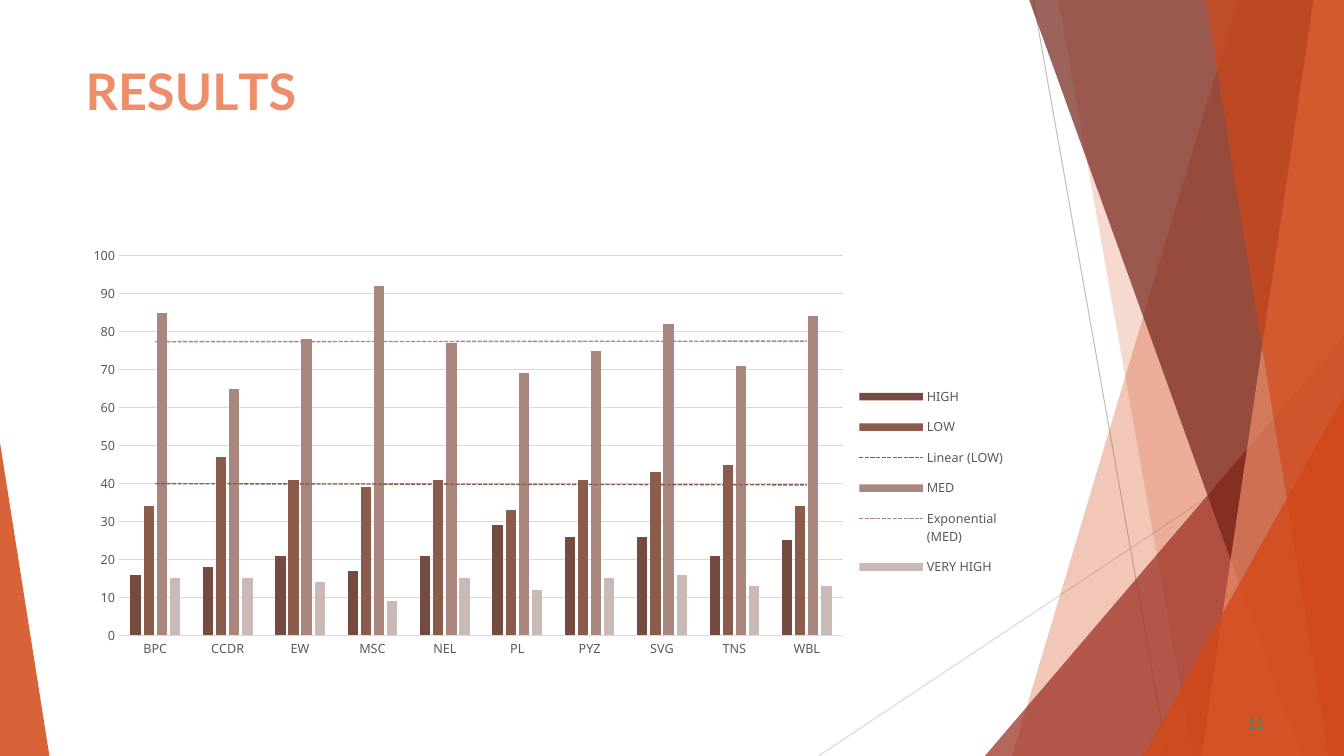
"""Build the RESULTS slide: faceted backdrop, heading and clustered columns with trend lines."""
from dataclasses import dataclass
from typing import NamedTuple, Optional

from lxml import etree
from pptx import Presentation, util as u
from pptx.chart import data as cd
from pptx.dml import color as col
from pptx.enum import chart as ec, shapes, text
from pptx.oxml import ns

WIDTH, HEIGHT = u.Inches(13.33), u.Inches(7.5)


@dataclass(frozen=True)
class Theme:
    """Colours, fonts and type sizes of the slide."""
    orange: str = "D34817"
    salmon: str = "EE8D6A"
    red: str = "9B2D1F"
    maroon: str = "732217"
    green: str = "2D936B"
    hairline: str = "BFBFBF"
    pale_hairline: str = "D8D8D8"
    grid: str = "D9D9D9"
    label: str = "595959"
    black: str = "000000"
    heading_font: str = "Lato"
    chart_font: str = "Noto Sans"
    heading_size: float = 36
    number_size: float = 11
    chart_size: float = 10
    label_size: float = 9


THEME = Theme()


class Box(NamedTuple):
    """Left, top, width and height in percent of the slide or chart."""
    left: float
    top: float
    width: float
    height: float

    def emu(self) -> tuple[int, int, int, int]:
        """Return the box in slide units."""
        return across(self.left), down(self.top), across(self.width), down(self.height)


class Hairline(NamedTuple):
    """A thin line between two points given in percent."""
    x1: float
    y1: float
    x2: float
    y2: float
    color: str


class Facet(NamedTuple):
    """A pane reaching the right edge, slanted between its top and bottom left."""
    top_left: float
    bottom_left: float
    color: str
    alpha: int


class Corner(NamedTuple):
    """A triangle standing on the bottom edge, with its peak at one side."""
    box: Box
    peak: float
    color: str
    alpha: int


class Span(NamedTuple):
    """Letters sharing one character spacing in points."""
    letters: str
    spacing: float


class Label(NamedTuple):
    """A line of text with its place and look."""
    box: Box
    spans: list[Span]
    size: float
    color: str
    bold: bool


class Level(NamedTuple):
    """One chart series and the kind of its trend line."""
    name: str
    values: list[int]
    color: str
    trend: Optional[str] = None


HAIRLINES = [
    Hairline(76.88, 0, 86.85, 100, THEME.hairline),
    Hairline(100, 53.73, 60.9, 100, THEME.pale_hairline),
]
PANES = [
    Facet(92.1, 75.3, THEME.orange, 30),
    Facet(78.75, 88.73, THEME.orange, 20),
    Corner(Box(73.28, 44.4, 26.72, 55.6), 1, THEME.red, 72),
    Facet(76.58, 96.83, THEME.maroon, 70),
    Facet(97.73, 89.4, THEME.salmon, 70),
    Facet(89.7, 98.85, THEME.orange, 65),
    Corner(Box(85.05, 52.4, 14.95, 47.6), 1, THEME.orange, 80),
    Corner(Box(0, 58.53, 3.68, 41.47), 0, THEME.orange, 85),
]
HEADING_SPANS = [Span("R", 0), Span("E", -0.4), Span("S", 0.1),
                 Span("U", -0.3), Span("L", -4), Span("TS", 0)]
LABELS = [
    Label(Box(6.37, 7.88, 70.5, 8.13), HEADING_SPANS,
          THEME.heading_size, THEME.salmon, True),
    Label(Box(92.8, 94.27, 1.88, 2.4), [Span("11", 0.1)],
          THEME.number_size, THEME.green, False),
]
CHART_BOX = Box(5.55, 31.47, 70.5, 56.53)
PLOT_BOX = Box(4.7, 4.15, 76.4, 88.9)
LEGEND_BOX = Box(81.4, 32.1, 18, 50)
GROUPS = ["BPC", "CCDR", "EW", "MSC", "NEL", "PL", "PYZ", "SVG", "TNS", "WBL"]
LEVELS = [
    Level("HIGH", [16, 18, 21, 17, 21, 29, 26, 26, 21, 25], "744B3E"),
    Level("LOW", [34, 47, 41, 39, 41, 33, 41, 43, 45, 34], "8B5B4B", "linear"),
    Level("MED", [85, 65, 78, 92, 77, 69, 75, 82, 71, 84], "A9877E", "exp"),
    Level("VERY HIGH", [15, 15, 14, 9, 15, 12, 15, 16, 13, 13], "CAB9B5"),
]


def across(percent: float) -> int:
    """Convert a share of the slide's width."""
    return round(WIDTH * percent / 100)


def down(percent: float) -> int:
    """Convert a share of the slide's height."""
    return round(HEIGHT * percent / 100)


def rgb(code: str) -> col.RGBColor:
    """Return the colour for a hex code."""
    return col.RGBColor.from_string(code)


def style_line(line, color: str, width: float) -> None:
    """Colour a line and set its width."""
    line.color.rgb = rgb(color)
    line.width = u.Pt(width)


def style_font(font, name: str, size: float, color: str) -> None:
    """Set typeface, size and colour."""
    font.name, font.size = name, u.Pt(size)
    font.color.rgb = rgb(color)


def draw_hairline(slide, hairline: Hairline) -> None:
    """Draw a thin line without shadow."""
    stroke = slide.shapes.add_connector(
        shapes.MSO_CONNECTOR.STRAIGHT, across(hairline.x1), down(hairline.y1),
        across(hairline.x2), down(hairline.y2))
    style_line(stroke.line, hairline.color, 0.75)
    etree.SubElement(stroke._element.spPr, ns.qn("a:effectLst"))


def draw_pane(slide, pane: Facet | Corner) -> None:
    """Draw a translucent facet or corner."""
    if isinstance(pane, Facet):
        outline = slide.shapes.build_freeform(across(pane.top_left), 0)
        outline.add_line_segments(
            [(WIDTH, 0), (WIDTH, HEIGHT), (across(pane.bottom_left), HEIGHT)])
        glass = outline.convert_to_shape()
    else:
        glass = slide.shapes.add_shape(
            shapes.MSO_SHAPE.ISOSCELES_TRIANGLE, *pane.box.emu())
        glass.adjustments[0] = pane.peak
    glass.shadow.inherit = False
    glass.line.fill.background()
    glass.fill.solid()
    glass.fill.fore_color.rgb = rgb(pane.color)
    tint = glass._element.spPr.find(ns.qn("a:solidFill"))[0]
    etree.SubElement(tint, ns.qn("a:alpha"), val=str(pane.alpha * 1000))


def draw_label(slide, label: Label) -> None:
    """Draw a text line with its letter spacing."""
    frame = slide.shapes.add_textbox(*label.box.emu()).text_frame
    frame.word_wrap = True
    frame.vertical_anchor = text.MSO_ANCHOR.TOP
    frame.margin_left = frame.margin_right = frame.margin_bottom = 0
    frame.margin_top = u.Inches(0.01)
    for span in label.spans:
        run = frame.paragraphs[0].add_run()
        run.text = span.letters
        style_font(run.font, THEME.heading_font, label.size, label.color)
        run.font.bold = label.bold
        run._r.get_or_add_rPr().set("spc", str(round(span.spacing * 100)))


def add_trend(series, level: Level) -> None:
    """Add a dashed trend line to a series."""
    trend = etree.Element(ns.qn("c:trendline"))
    look = etree.SubElement(trend, ns.qn("c:spPr"))
    stroke = etree.SubElement(look, ns.qn("a:ln"), w=str(u.Pt(1)))
    fill = etree.SubElement(stroke, ns.qn("a:solidFill"))
    etree.SubElement(fill, ns.qn("a:srgbClr"), val=level.color)
    etree.SubElement(stroke, ns.qn("a:prstDash"), val="sysDash")
    for tag, value in (("trendlineType", level.trend), ("dispRSqr", "0"), ("dispEq", "0")):
        etree.SubElement(trend, ns.qn(f"c:{tag}"), val=value)
    series._element.find(ns.qn("c:cat")).addprevious(trend)


def place(following, box: Box, inner: bool = False) -> None:
    """Fix a chart part's area, writing its layout before the given element."""
    for old in following.getparent().findall(ns.qn("c:layout")):
        following.getparent().remove(old)
    layout = etree.Element(ns.qn("c:layout"))
    manual = etree.SubElement(layout, ns.qn("c:manualLayout"))
    settings = [("layoutTarget", "inner")] if inner else []
    settings += [("xMode", "edge"), ("yMode", "edge")]
    settings += [(tag, str(round(share / 100, 4))) for tag, share in zip("xywh", box)]
    for tag, value in settings:
        etree.SubElement(manual, ns.qn(f"c:{tag}"), val=value)
    following.addprevious(layout)


def draw_chart(slide) -> None:
    """Draw the clustered columns with legend and axes."""
    results = cd.CategoryChartData()
    results.categories = GROUPS
    for level in LEVELS:
        results.add_series(level.name, level.values)
    chart = slide.shapes.add_chart(
        ec.XL_CHART_TYPE.COLUMN_CLUSTERED, *CHART_BOX.emu(), results).chart
    chart.has_title = False
    style_font(chart.font, THEME.chart_font, THEME.chart_size, THEME.black)
    chart.has_legend = True
    chart.legend.position = ec.XL_LEGEND_POSITION.RIGHT
    chart.legend.include_in_layout = False
    groups, scores = chart.category_axis, chart.value_axis
    for part in (chart.legend, groups.tick_labels, scores.tick_labels):
        style_font(part.font, THEME.chart_font, THEME.label_size, THEME.label)
    for axis in (groups, scores):
        axis.major_tick_mark = axis.minor_tick_mark = ec.XL_TICK_MARK.NONE
    style_line(groups.format.line, THEME.grid, 1)
    scores.format.line.fill.background()
    style_line(scores.major_gridlines.format.line, THEME.grid, 1)
    scores.minimum_scale, scores.maximum_scale, scores.major_unit = 0, 100, 10
    columns = chart.plots[0]
    columns.gap_width, columns.overlap = 219, -27
    columns.vary_by_categories = False
    for series, level in zip(columns.series, LEVELS):
        series.format.fill.solid()
        series.format.fill.fore_color.rgb = rgb(level.color)
        if level.trend:
            add_trend(series, level)
    root = chart._chartSpace
    place(root.find(f".//{ns.qn('c:barChart')}"), PLOT_BOX, inner=True)
    place(root.find(f".//{ns.qn('c:legend')}/{ns.qn('c:overlay')}"), LEGEND_BOX)


def main() -> None:
    """Assemble and save the slide."""
    deck = Presentation()
    deck.slide_width, deck.slide_height = WIDTH, HEIGHT
    slide = deck.slides.add_slide(deck.slide_layouts[6])
    for painter, parts in ((draw_hairline, HAIRLINES), (draw_pane, PANES), (draw_label, LABELS)):
        for part in parts:
            painter(slide, part)
    draw_chart(slide)
    deck.save("out.pptx")


if __name__ == "__main__":
    main()
